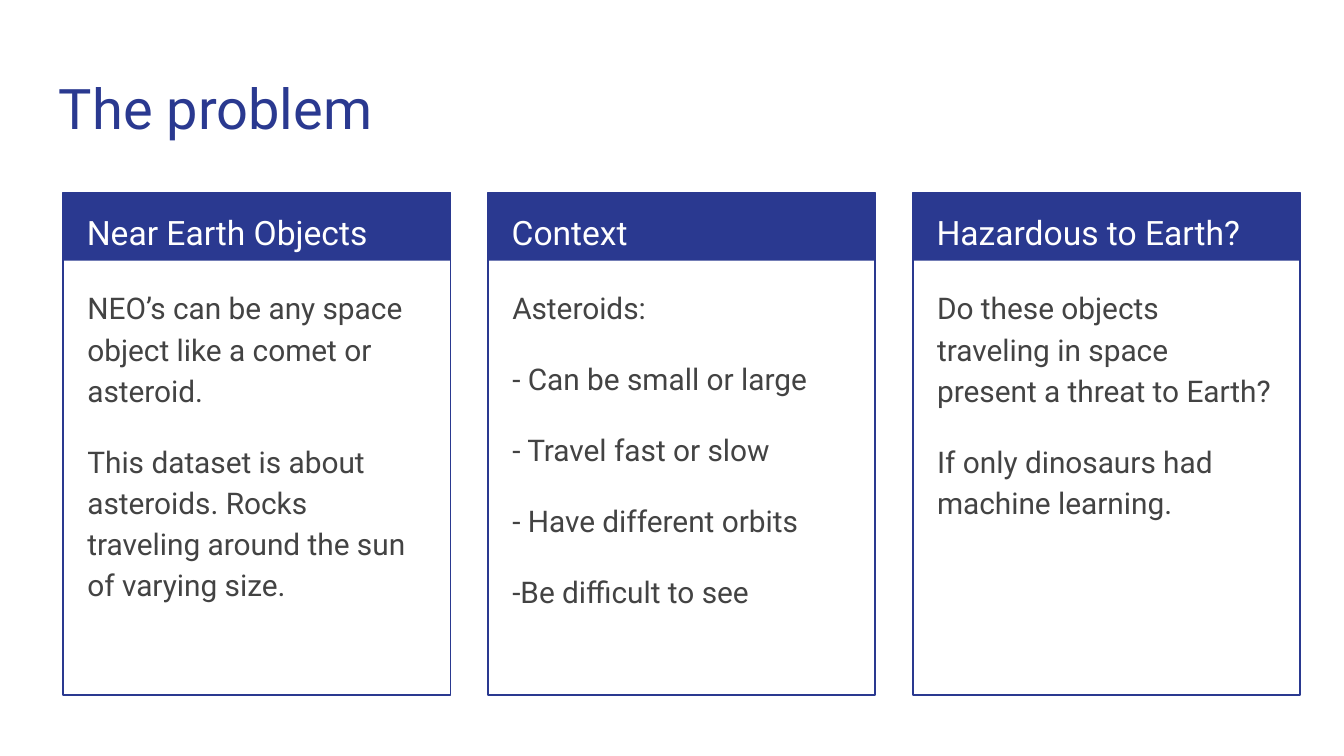
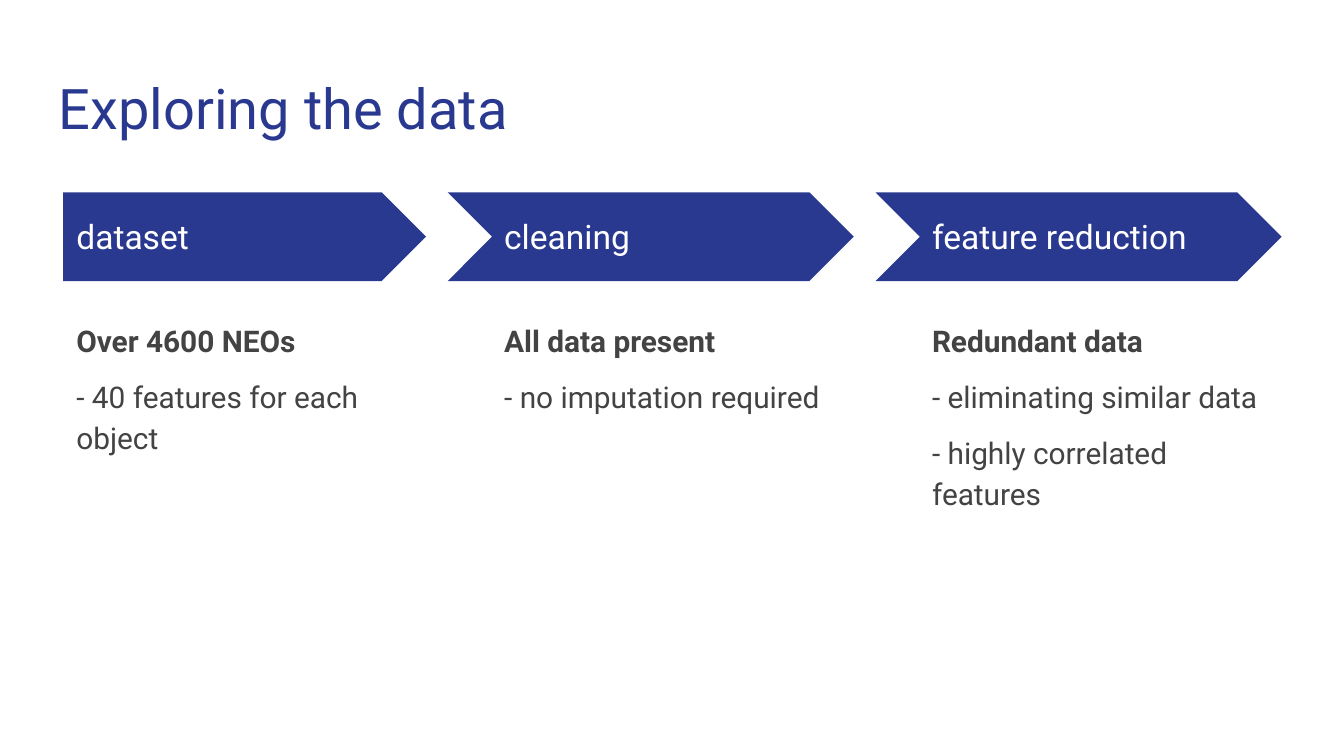
from dataclasses import dataclass

import pptx
import pptx.dml.color
import pptx.enum.shapes
import pptx.enum.text
import pptx.util

Pt = pptx.util.Pt
Shape = pptx.enum.shapes.MSO_SHAPE
Anchor = pptx.enum.text.MSO_ANCHOR


@dataclass(frozen=True)
class Theme:
    font: str = "Roboto"
    accent: str = "2A3990"
    body: str = "434343"
    paper: str = "FFFFFF"
    title_size: int = 30
    heading_size: int = 18
    body_size: int = 16
    line_spacing: float = 1.15
    inset: float = 7.2
    left: float = 33.84
    top: float = 103


def rgb(value):
    return pptx.dml.color.RGBColor.from_string(value)


def write(frame, paragraphs, *, theme, size, color, spacing=None, gap=0,
          bold_first=False, anchor=Anchor.TOP):
    """Fill a text frame; gap is the space before each paragraph but the first."""
    frame.word_wrap = True
    frame.vertical_anchor = anchor
    frame.margin_left = frame.margin_right = Pt(theme.inset)
    frame.margin_top = frame.margin_bottom = Pt(theme.inset)
    for index, content in enumerate(paragraphs):
        paragraph = frame.add_paragraph() if index else frame.paragraphs[0]
        paragraph.space_before = Pt(gap if index else 0)
        if spacing:
            paragraph.line_spacing = spacing
        run = paragraph.add_run()
        run.text = content
        run.font.name = theme.font
        run.font.size = Pt(size)
        run.font.bold = bold_first and index == 0
        run.font.color.rgb = rgb(color)


class Deck:
    def __init__(self, theme):
        self.theme = theme
        self.presentation = pptx.Presentation()
        self.presentation.slide_width = Pt(720)
        self.presentation.slide_height = Pt(405)
        self.slide = None

    def start_slide(self, title):
        self.slide = self.presentation.slides.add_slide(
            self.presentation.slide_layouts[6])
        self.slide.background.fill.solid()
        self.slide.background.fill.fore_color.rgb = rgb(self.theme.paper)
        self.text([title], 24.5, 32.4, 671, 47.5,
                  size=self.theme.title_size, color=self.theme.accent)

    def text(self, paragraphs, left, top, width, height, **style):
        box = self.slide.shapes.add_textbox(Pt(left), Pt(top), Pt(width), Pt(height))
        write(box.text_frame, paragraphs, theme=self.theme, **style)

    def heading(self, label, left, top, width, height, **style):
        self.text([label], left, top, width, height,
                  size=self.theme.heading_size, color=self.theme.paper, **style)

    def body(self, paragraphs, left, top, width, height, **style):
        self.text(paragraphs, left, top, width, height, size=self.theme.body_size,
                  color=self.theme.body, spacing=self.theme.line_spacing, **style)

    def shape(self, kind, left, top, width, height, outlined=False):
        """Draw an accent shape, filled or as an outline only."""
        shape = self.slide.shapes.add_shape(
            kind, Pt(left), Pt(top), Pt(width), Pt(height))
        shape.shadow.inherit = False
        if outlined:
            shape.fill.background()
            shape.line.color.rgb = rgb(self.theme.accent)
            shape.line.width = Pt(0.75)
        else:
            shape.fill.solid()
            shape.fill.fore_color.rgb = rgb(self.theme.accent)
            shape.line.fill.background()

    def card(self, left, heading, paragraphs):
        top, width = self.theme.top, 207.4
        self.shape(Shape.RECTANGLE, left, top, width, 36.7)
        self.shape(Shape.RECTANGLE, left, top, width, 269.3, outlined=True)
        self.heading(heading, left + 5.6, top, 196.6, 36,
                     spacing=self.theme.line_spacing)
        self.body(paragraphs, left + 5.9, top + 42.4, 195.1, 220.3, gap=16)

    def step(self, left, heading, paragraphs, first=False):
        """Draw one stage of the process; later stages have a notched tail."""
        top, width, tail = self.theme.top, 194.4, 23.2
        if first:
            self.shape(Shape.PENTAGON, left, top, width, 47.6)
        else:
            self.shape(Shape.CHEVRON, left - tail, top, width + tail, 47.6)
        self.heading(heading, left, top + 11.5, 177.8, 24.5, anchor=Anchor.MIDDLE)
        self.body(paragraphs, left, top + 59.7, width, 208.8,
                  gap=8, bold_first=True)


PROBLEM_CARDS = [
    ("Near Earth Objects", [
        "NEO’s can be any space object like a comet or asteroid.",
        "This dataset is about asteroids. Rocks traveling around the sun of varying size.",
    ]),
    ("Context", [
        "Asteroids:",
        "- Can be small or large",
        "- Travel fast or slow",
        "- Have different orbits",
        "-Be difficult to see",
    ]),
    ("Hazardous to Earth?", [
        "Do these objects traveling in space present a threat to Earth?",
        "If only dinosaurs had machine learning.",
    ]),
]

DATA_STEPS = [
    ("dataset", ["Over 4600 NEOs", "- 40 features for each object"]),
    ("cleaning", ["All data present", "- no imputation required"]),
    ("feature reduction", [
        "Redundant data",
        "- eliminating similar data",
        "- highly correlated features",
    ]),
]


def main():
    theme = Theme()
    deck = Deck(theme)

    deck.start_slide("The problem")
    for column, (heading, paragraphs) in enumerate(PROBLEM_CARDS):
        deck.card(theme.left + 227.6 * column, heading, paragraphs)

    deck.start_slide("Exploring the data")
    for column, (heading, paragraphs) in enumerate(DATA_STEPS):
        deck.step(theme.left + 229.2 * column, heading, paragraphs,
                  first=column == 0)

    deck.presentation.save("out.pptx")


if __name__ == "__main__":
    main()
